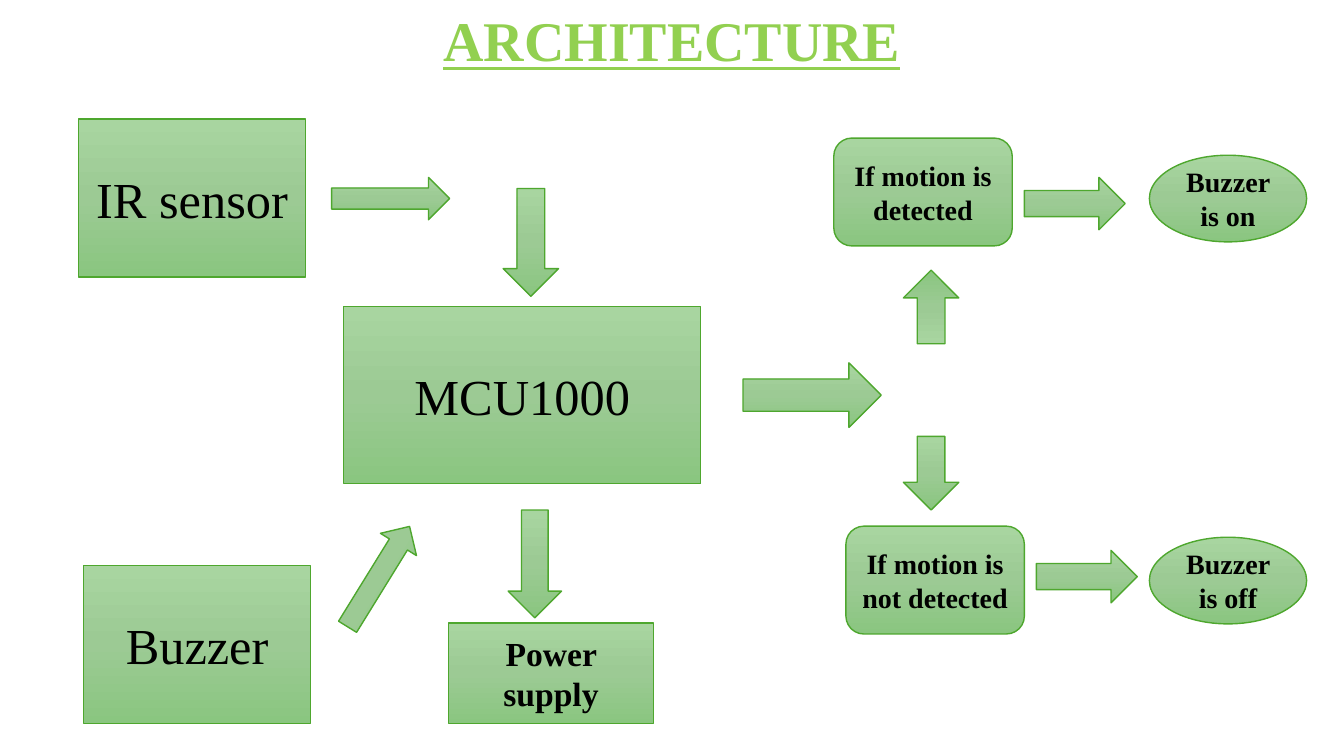
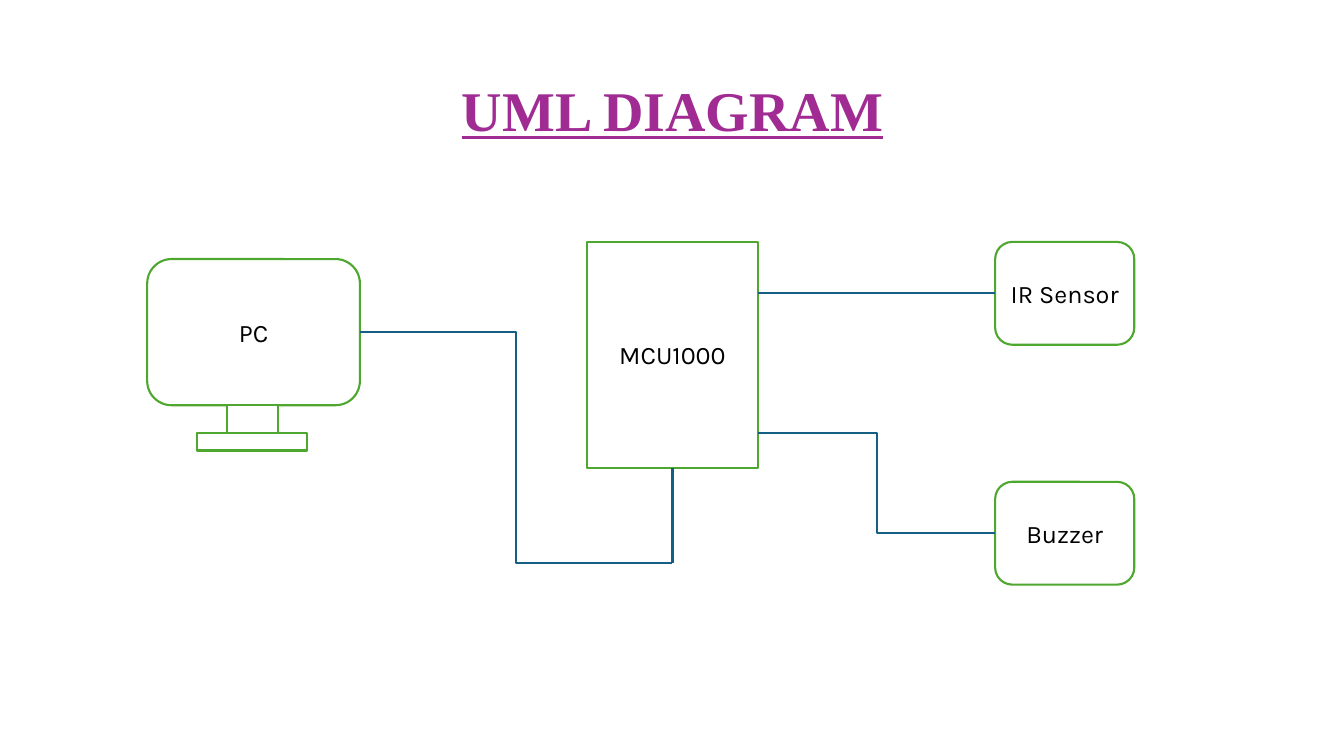
import copy
from dataclasses import dataclass
from typing import Optional

import pptx
import pptx.dml.color
import pptx.enum.shapes
import pptx.enum.text
import pptx.oxml.ns
import pptx.slide
import pptx.util
from lxml import etree
from pptx.util import Inches

SHAPE = pptx.enum.shapes.MSO_SHAPE
CONNECTOR = pptx.enum.shapes.MSO_CONNECTOR
BOTTOM_SIDE, LEFT_SIDE = 2, 1
CONTROLLER_NAME = "MCU1000"


# Theme: every colour, font and size
@dataclass(frozen=True)
class Theme:
    serif: str = "Times New Roman"
    sans: str = "Karla"
    text: str = "000000"
    white: str = "FFFFFF"
    outline: str = "4EA72E"
    wire: str = "156082"
    architecture_title: str = "92D050"
    uml_title: str = "A02B93"
    gradient: tuple[str, ...] = ("A8D5A0", "9CCA94", "8AC680")
    title_size: int = 40
    block_size: int = 36
    supply_size: int = 24
    outcome_size: int = 20
    uml_size: int = 18
    block_line: float = 1
    uml_line: float = 1.5


THEME = Theme()


@dataclass(frozen=True)
class Style:
    font: str
    line_width: float
    gradient: bool


@dataclass(frozen=True)
class Node:
    kind: SHAPE
    left: float
    top: float
    width: float
    height: float
    text: str = ""
    size: int = THEME.uml_size
    bold: bool = False
    rotation: float = 0


@dataclass(frozen=True)
class Wire:
    kind: CONNECTOR
    start: tuple[float, float]
    end: tuple[float, float]
    start_joint: Optional[tuple[str, int]] = None
    end_joint: Optional[tuple[str, int]] = None


FLOW_STYLE = Style(THEME.serif, THEME.block_line, gradient=True)
UML_STYLE = Style(THEME.sans, THEME.uml_line, gradient=False)


# Drawing functions
def rgb(value: str) -> pptx.dml.color.RGBColor:
    return pptx.dml.color.RGBColor.from_string(value)


def add_titled_slide(presentation, text: str, color: str,
                     box: tuple[float, float, float, float]) -> pptx.slide.Slide:
    slide = presentation.slides.add_slide(presentation.slide_layouts[5])
    title = slide.shapes.title
    title.left, title.top, title.width, title.height = map(Inches, box)
    frame = title.text_frame
    frame.text = text
    frame.auto_size = pptx.enum.text.MSO_AUTO_SIZE.NONE
    frame.vertical_anchor = pptx.enum.text.MSO_ANCHOR.MIDDLE
    paragraph = frame.paragraphs[0]
    paragraph.alignment = pptx.enum.text.PP_ALIGN.CENTER
    paragraph.line_spacing = 0.9
    font = paragraph.font
    font.name, font.size = THEME.serif, pptx.util.Pt(THEME.title_size)
    font.bold = font.underline = True
    font.color.rgb = rgb(color)
    return slide


def fill_gradient(shape) -> None:
    fill = shape.fill
    fill.gradient()
    fill.gradient_angle = 270
    stop_list = next(shape.element.iter(pptx.oxml.ns.qn("a:gsLst")))
    stop_list.insert(1, copy.deepcopy(stop_list[0]))
    last = len(THEME.gradient) - 1
    for index, (stop, color) in enumerate(zip(fill.gradient_stops, THEME.gradient)):
        stop.position = index / last
        stop.color.rgb = rgb(color)


def add_node(slide: pptx.slide.Slide, node: Node, style: Style):
    box = map(Inches, (node.left, node.top, node.width, node.height))
    shape = slide.shapes.add_shape(node.kind, *box)
    shape.shadow.inherit = False
    shape.rotation = node.rotation
    if style.gradient:
        fill_gradient(shape)
    else:
        shape.fill.solid()
        shape.fill.fore_color.rgb = rgb(THEME.white)
    shape.line.color.rgb = rgb(THEME.outline)
    shape.line.width = pptx.util.Pt(style.line_width)
    if node.text:
        frame = shape.text_frame
        frame.text = node.text
        frame.word_wrap = True
        frame.vertical_anchor = pptx.enum.text.MSO_ANCHOR.MIDDLE
        paragraph = frame.paragraphs[0]
        paragraph.alignment = pptx.enum.text.PP_ALIGN.CENTER
        font = paragraph.font
        font.name, font.size = style.font, pptx.util.Pt(node.size)
        font.bold = node.bold
        font.color.rgb = rgb(THEME.text)
    return shape


def add_wire(slide: pptx.slide.Slide, wire: Wire, shapes: dict) -> None:
    connector = slide.shapes.add_connector(
        wire.kind, *map(Inches, (*wire.start, *wire.end)))
    if wire.start_joint:
        name, side = wire.start_joint
        connector.begin_connect(shapes[name], side)
    if wire.end_joint:
        name, side = wire.end_joint
        connector.end_connect(shapes[name], side)
    connector.line.color.rgb = rgb(THEME.wire)
    connector.line.width = pptx.util.Pt(THEME.uml_line)
    properties = connector.element.spPr
    etree.SubElement(properties, pptx.oxml.ns.qn("a:effectLst"))


# Node families that share a size and text style
def block(left: float, top: float, text: str,
          width: float = 2.25, height: float = 1.57) -> Node:
    return Node(SHAPE.RECTANGLE, left, top, width, height, text, THEME.block_size)


def condition(left: float, top: float, text: str) -> Node:
    return Node(SHAPE.ROUNDED_RECTANGLE, left, top, 1.77, 1.07, text,
                THEME.outcome_size, bold=True)


def outcome(top: float, text: str) -> Node:
    return Node(SHAPE.OVAL, 11.4, top, 1.56, 0.86, text,
                THEME.outcome_size, bold=True)


def device(top: float, text: str) -> Node:
    return Node(SHAPE.ROUNDED_RECTANGLE, 9.87, top, 1.38, 1.02, text)


# Slide 1: architecture
ARCHITECTURE_NODES = (
    block(0.78, 1.18, "IR sensor"),
    block(0.83, 5.61, "Buzzer"),
    block(3.41, 3.04, CONTROLLER_NAME, 3.54, 1.76),
    Node(SHAPE.RECTANGLE, 4.45, 6.18, 2.03, 1, "Power supply",
         THEME.supply_size, bold=True),
    condition(8.27, 1.37, "If motion is detected"),
    condition(8.39, 5.22, "If motion is not detected"),
    outcome(1.54, "Buzzer is on"),
    outcome(5.33, "Buzzer is off"),
    Node(SHAPE.RIGHT_ARROW, 3.29, 1.76, 1.17, 0.42),
    Node(SHAPE.RIGHT_ARROW, 3.17, 5.51, 1.17, 0.42, rotation=301.7),
    Node(SHAPE.RIGHT_ARROW, 7.37, 3.6, 1.37, 0.64),
    Node(SHAPE.RIGHT_ARROW, 10.16, 1.76, 1, 0.52),
    Node(SHAPE.RIGHT_ARROW, 10.28, 5.46, 1, 0.52),
    Node(SHAPE.DOWN_ARROW, 4.99, 1.87, 0.55, 1.07),
    Node(SHAPE.DOWN_ARROW, 5.04, 5.06, 0.53, 1.07),
    Node(SHAPE.DOWN_ARROW, 8.96, 4.33, 0.55, 0.73),
    Node(SHAPE.DOWN_ARROW, 8.96, 2.68, 0.55, 0.73, rotation=180),
)

# Slide 2: UML diagram
UML_NODES = {
    "controller": Node(SHAPE.RECTANGLE, 5.82, 2.4, 1.7, 2.24, CONTROLLER_NAME),
    "sensor": device(2.4, "IR Sensor"),
    "buzzer": device(4.78, "Buzzer"),
    "screen": Node(SHAPE.ROUNDED_RECTANGLE, 1.46, 2.57, 2.11, 1.45, "PC"),
    "stand": Node(SHAPE.RECTANGLE, 2.25, 4.02, 0.51, 0.28),
    "foot": Node(SHAPE.RECTANGLE, 1.95, 4.3, 1.1, 0.17),
}
UML_WIRES = (
    Wire(CONNECTOR.STRAIGHT, (7.52, 2.91), (9.87, 2.91),
         end_joint=("sensor", LEFT_SIDE)),
    Wire(CONNECTOR.ELBOW, (7.52, 4.3), (9.87, 5.29)),
    Wire(CONNECTOR.ELBOW, (3.57, 3.29), (6.67, 5.59)),
    Wire(CONNECTOR.STRAIGHT, (6.67, 4.64), (6.67, 5.59),
         start_joint=("controller", BOTTOM_SIDE)),
)


def main() -> None:
    presentation = pptx.Presentation()
    presentation.slide_width = Inches(13.33)
    presentation.slide_height = Inches(7.5)

    architecture = add_titled_slide(presentation, "ARCHITECTURE",
                                    THEME.architecture_title, (3.87, 0, 5.59, 0.87))
    for node in ARCHITECTURE_NODES:
        add_node(architecture, node, FLOW_STYLE)

    uml = add_titled_slide(presentation, "UML DIAGRAM",
                           THEME.uml_title, (0.92, 0.4, 11.5, 1.45))
    shapes = {name: add_node(uml, node, UML_STYLE)
              for name, node in UML_NODES.items()}
    for wire in UML_WIRES:
        add_wire(uml, wire, shapes)

    presentation.save("out.pptx")


if __name__ == "__main__":
    main()
